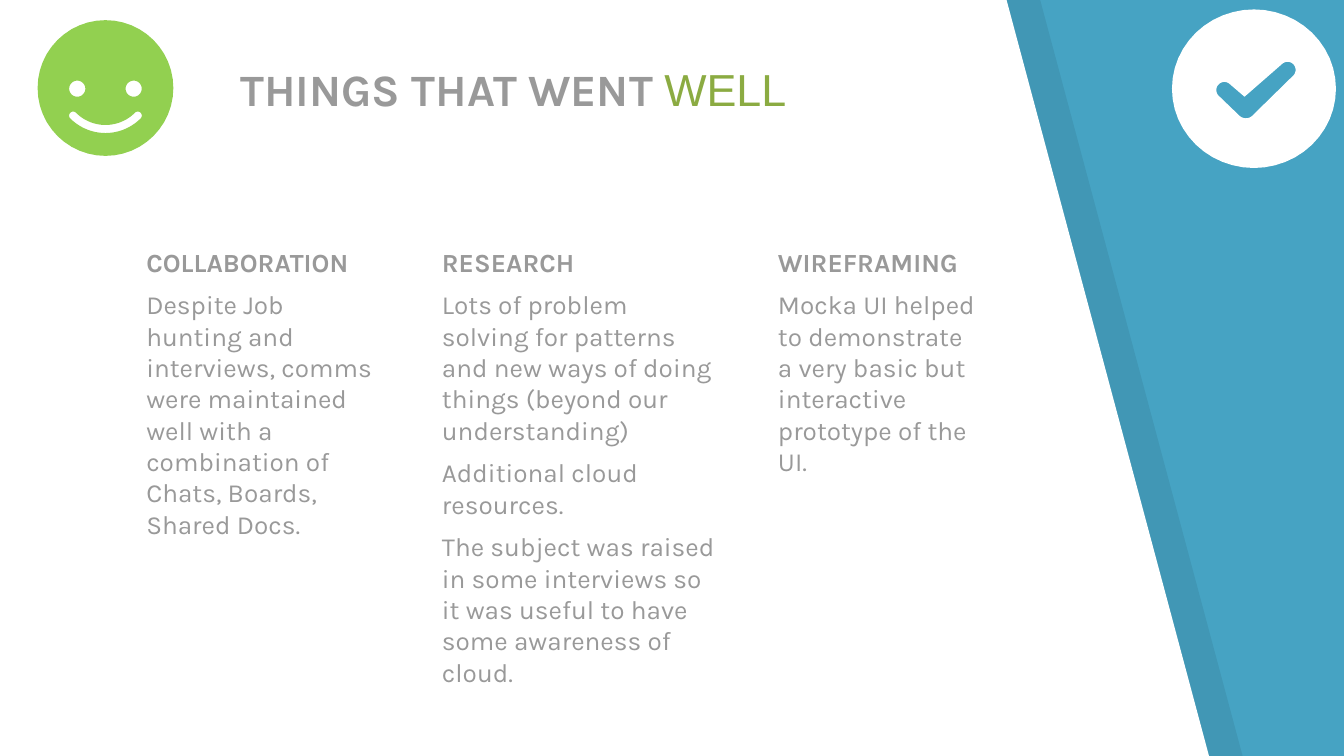
from math import cos, radians, sin

from lxml import etree
from pptx import Presentation
from pptx.dml.color import RGBColor
from pptx.oxml.ns import qn
from pptx.util import Inches, Pt

GREY, GREEN, WHITE, BLACK, BLUE, LIME = (
    "999999", "8BAB42", "FFFFFF", "000000", "46A3C3", "92D050")
BODY = {"name": "Karla", "size": Pt(14), "bold": False}
HEADING = {**BODY, "bold": True}
TITLE = {**HEADING, "size": Pt(24)}
ACCENT = {**TITLE, "name": "Arial", "bold": False}
COLUMNS = [
    (0.99, 1.97, 3.28, "COLLABORATION", [
        "Despite Job hunting and interviews, comms were maintained well "
        "with a combination of Chats, Boards, Shared Docs."]),
    (3.19, 2.27, 3.59, "RESEARCH", [
        "Lots of problem solving for patterns and new ways of doing things "
        "(beyond our understanding)",
        "Additional cloud resources.",
        "The subject was raised in some interviews so it was useful to have "
        "some awareness of cloud."]),
    (5.69, 1.69, 3.28, "WIREFRAMING", [
        "Mocka UI helped to demonstrate a very basic but interactive "
        "prototype of the UI."]),
]


def color(value):
    """Return the colour for a hex string."""
    return RGBColor.from_string(value)


def arc(center_x, center_y, radius_x, radius_y, start=0, end=360):
    """Return points along an elliptical arc, clockwise in degrees."""
    steps = 48
    angles = [radians(start + (end - start) * i / steps) for i in range(steps + 1)]
    return [(center_x + radius_x * cos(a), center_y + radius_y * sin(a))
            for a in angles]


def add_outline(slide, left, top, contours, fill, alpha=None):
    """Draw closed contours, given relative to left and top, as one shape."""
    builder = None
    for contour in contours:
        points = [(Inches(left + x), Inches(top + y)) for x, y in contour]
        if builder is None:
            builder = slide.shapes.build_freeform(*points[0])
        else:
            builder.move_to(*points[0])
        builder.add_line_segments(points[1:], close=True)
    shape = builder.convert_to_shape()
    shape.shadow.inherit = False
    shape.fill.solid()
    shape.fill.fore_color.rgb = color(fill)
    shape.line.fill.background()
    if alpha is not None:
        tint = shape.fill._xPr.find(qn("a:solidFill"))[0]
        etree.SubElement(tint, qn("a:alpha"), val=str(alpha * 1000))


def add_panel(slide):
    """Draw the slanted white panel over its shaded edge."""
    panel = [(0, -0.01), (0, 5.64), (9, 5.64), (7.49, 0)]
    add_outline(slide, 0.25, 0, [panel], BLACK, 7)
    add_outline(slide, 0, 0, [panel], WHITE)


def add_check_badge(slide, left, top, width, height):
    """Draw a disc with a round-ended check mark cut out."""
    disc = arc(width / 2, height / 2, width / 2, height / 2)
    check = (arc(0.39, 0.6, 0.06, 0.06, 135, 315) + [(0.54, 0.65)]
             + arc(0.86, 0.45, 0.06, 0.06, 225, 405)
             + arc(0.55, 0.74, 0.07, 0.07, 45, 135))
    add_outline(slide, left, top, [disc, check], WHITE)


def add_smiley(slide, left, top, size):
    """Draw a disc with eyes and a smile cut out."""
    middle = size / 2
    face = arc(middle, middle, middle, middle)
    eyes = [arc(middle + offset, 0.51, 0.06, 0.06) for offset in (-0.21, 0.21)]
    mouth_y, mouth_radius, half_width = 0.47, 0.34, 0.03
    reach = mouth_radius * cos(radians(45))
    outer, inner = mouth_radius + half_width, mouth_radius - half_width
    smile = (arc(middle, mouth_y, outer, outer, 45, 135)
             + arc(middle - reach, mouth_y + reach, half_width, half_width, 135, 315)
             + arc(middle, mouth_y, inner, inner, 135, 45)
             + arc(middle + reach, mouth_y + reach, half_width, half_width, 225, 405))
    add_outline(slide, left, top, [face, *eyes, smile], LIME)


def add_text_frame(slide, left, top, width, height, vertical_margin):
    """Add a wrapping text box and return its frame."""
    box = slide.shapes.add_textbox(*map(Inches, (left, top, width, height)))
    frame = box.text_frame
    frame.word_wrap = True
    frame.margin_left = frame.margin_right = Inches(0.1)
    frame.margin_top = frame.margin_bottom = Inches(vertical_margin)
    return frame


def add_run(paragraph, text, formats, text_color):
    """Add a formatted run to a paragraph."""
    run = paragraph.add_run()
    run.text = text
    for name, value in formats.items():
        setattr(run.font, name, value)
    run.font.color.rgb = color(text_color)


def add_column(slide, left, top, width, height, heading, texts):
    """Write a heading with its paragraphs below."""
    frame = add_text_frame(slide, left, top, width, height, 0.1)
    add_run(frame.paragraphs[0], heading, HEADING, GREY)
    for text in texts:
        paragraph = frame.add_paragraph()
        paragraph.space_before = Pt(6)
        add_run(paragraph, text, BODY, GREY)


def add_title(slide, left, top, width, height):
    """Write the title with its accented last word."""
    paragraph = add_text_frame(slide, left, top, width, height, 0.05).paragraphs[0]
    add_run(paragraph, "THINGS THAT WENT ", TITLE, GREY)
    add_run(paragraph, "WELL", ACCENT, GREEN)


def main():
    """Build and save the slide."""
    presentation = Presentation()
    presentation.slide_width = Inches(10)
    presentation.slide_height = presentation.slide_width * 9 // 16
    slide = presentation.slides.add_slide(presentation.slide_layouts[6])
    slide.background.fill.solid()
    slide.background.fill.fore_color.rgb = color(BLUE)
    add_panel(slide)
    for left, width, height, heading, texts in COLUMNS:
        add_column(slide, left, 1.73, width, height, heading, texts)
    add_check_badge(slide, 8.72, 0.07, 1.22, 1.18)
    add_smiley(slide, 0.28, 0.15, 1.01)
    add_title(slide, 1.69, 0.41, 4.33, 0.5)
    presentation.save("out.pptx")


if __name__ == "__main__":
    main()
